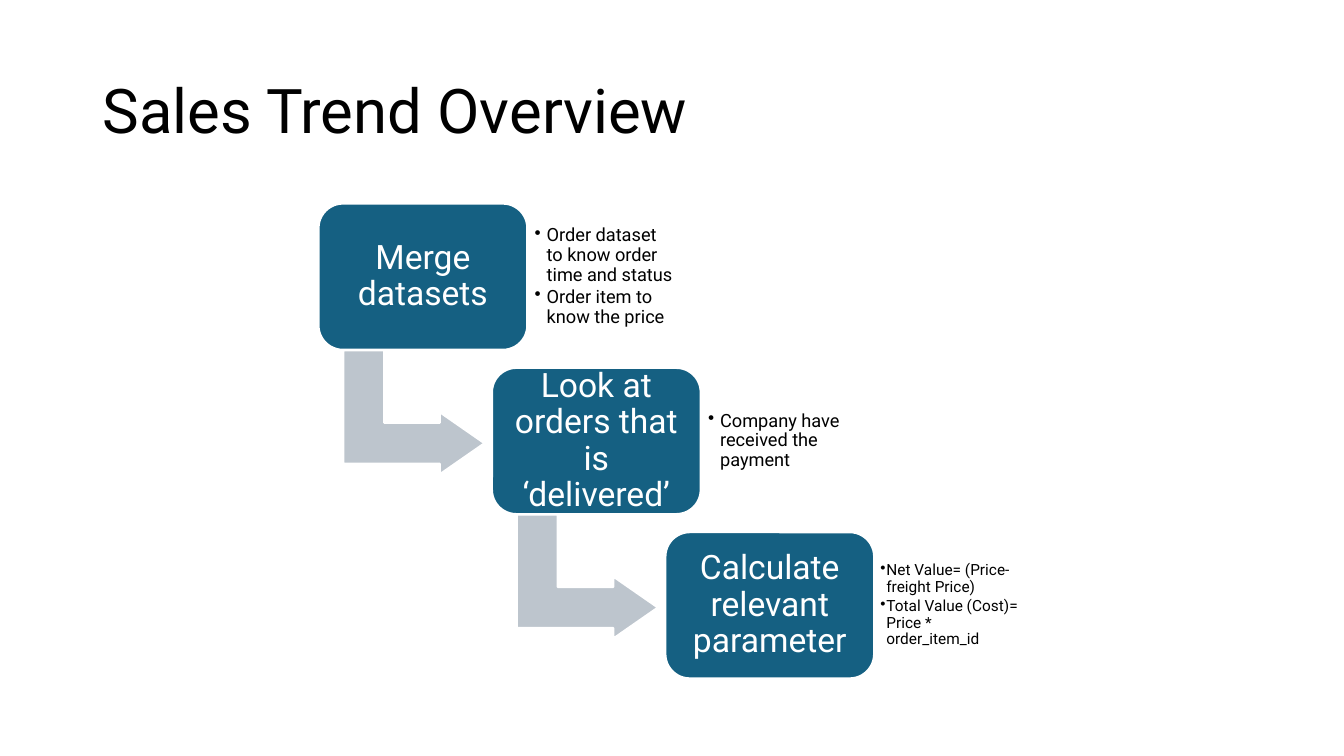
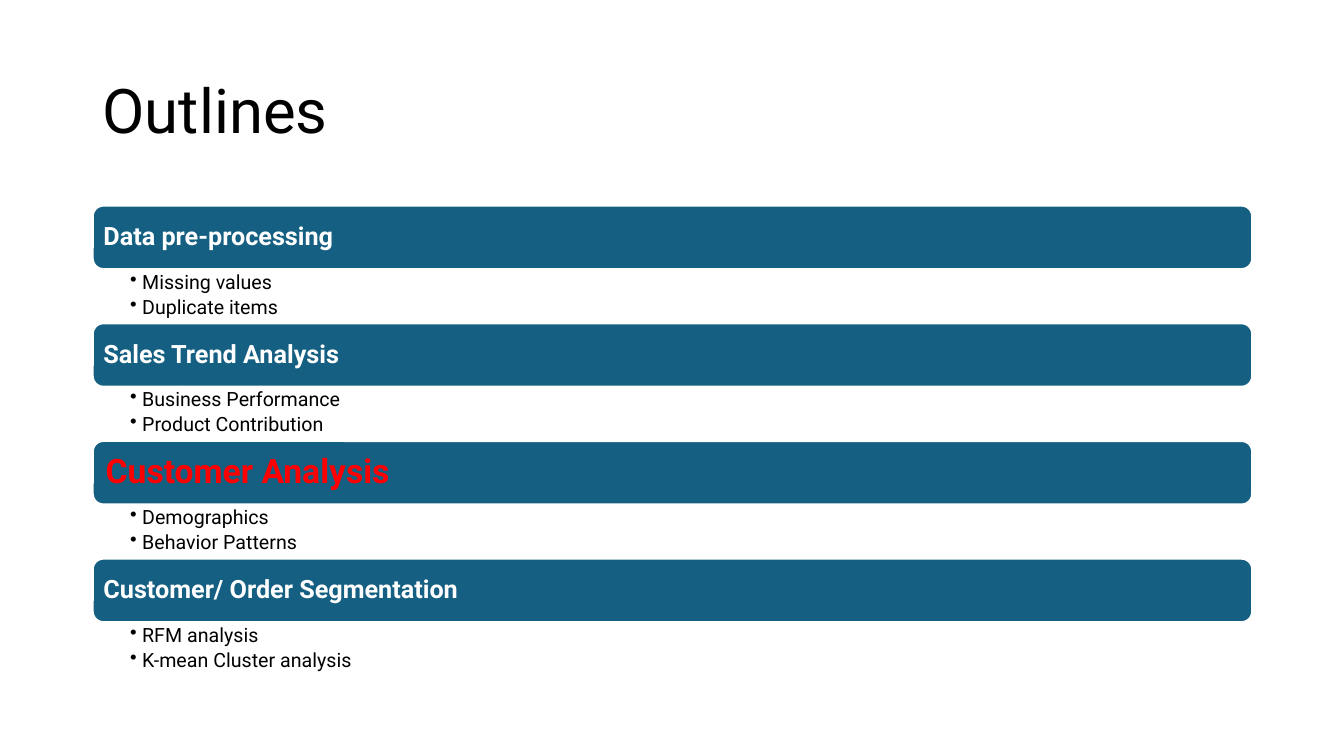
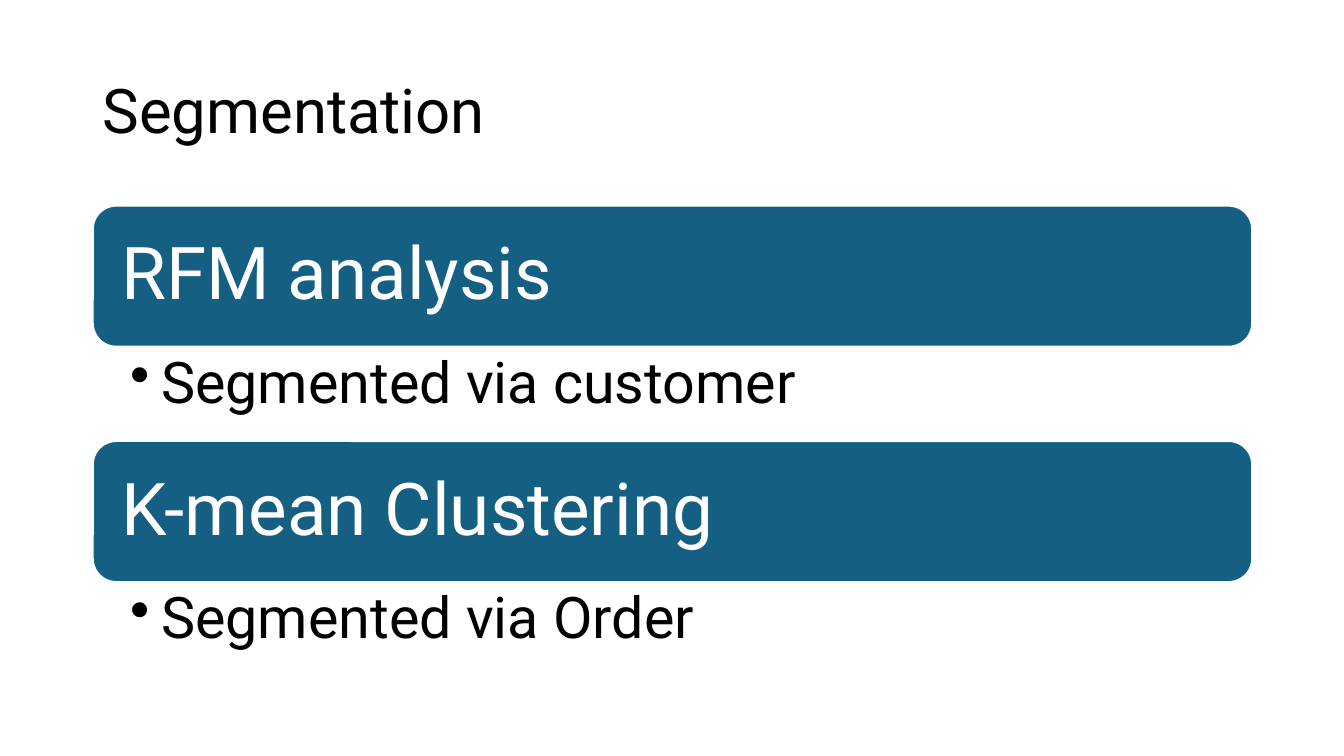
from dataclasses import dataclass
from typing import NamedTuple

from lxml.etree import SubElement
from pptx import Presentation
from pptx.dml.color import RGBColor
from pptx.enum.shapes import MSO_SHAPE
from pptx.enum.text import MSO_ANCHOR, PP_ALIGN
from pptx.oxml.ns import qn
from pptx.shapes.autoshape import Shape
from pptx.slide import Slide
from pptx.text.text import TextFrame
from pptx.util import Inches, Pt

BLACK = RGBColor(0x00, 0x00, 0x00)
WHITE = RGBColor(0xFF, 0xFF, 0xFF)
RED = RGBColor(0xFF, 0x00, 0x00)
TEAL = RGBColor(0x15, 0x60, 0x82)
ARROW_GREY = RGBColor(0xBD, 0xC5, 0xCD)
FONT = "Roboto"

CONTENT_LEFT, CONTENT_WIDTH = 0.92, 11.5
OUTLINE_TOP, OUTLINE_BOTTOM = 2.04, 6.71
STEP_LEFT, STEP_TOP = 3.16, 2.02
STEP_WIDTH, STEP_HEIGHT = 2.07, 1.45
STEP_RIGHT, STEP_DOWN = 1.72, 1.63


class Box(NamedTuple):
    left: float
    top: float
    width: float
    height: float


class Insets(NamedTuple):
    left: float
    top: float
    right: float
    bottom: float


@dataclass(frozen=True)
class TextStyle:
    size: float
    color: RGBColor = BLACK
    bold: bool = False
    align: PP_ALIGN = PP_ALIGN.LEFT
    bullet_indent: float = 0
    space_after: float = 0


@dataclass(frozen=True)
class Step:
    title: str
    details: list[str]
    detail_size: int = 13
    bullet_indent: float = 0.12


@dataclass(frozen=True)
class Section:
    title: str
    points: list[str]
    highlighted: bool = False


@dataclass(frozen=True)
class OutlineStyle:
    bar_height: float
    heading: TextStyle
    highlight: TextStyle
    point: TextStyle
    point_insets: Insets


STEPS = [
    Step("Merge datasets", ["Order dataset to know order time and status", "Order item to know the price"]),
    Step("Look at orders that is ‘delivered’", ["Company have received the payment"]),
    Step(
        "Calculate relevant parameter",
        ["Net Value= (Price-freight Price)", "Total Value (Cost)= Price * order_item_id"],
        detail_size=11,
        bullet_indent=0.06,
    ),
]

OUTLINE_SECTIONS = [
    Section("Data pre-processing", ["Missing values", "Duplicate items"]),
    Section("Sales Trend Analysis", ["Business Performance", "Product Contribution"]),
    Section("Customer Analysis", ["Demographics", "Behavior Patterns"], highlighted=True),
    Section("Customer/ Order Segmentation", ["RFM analysis", "K-mean Cluster analysis"]),
]

SEGMENTATION_SECTIONS = [
    Section("RFM analysis", ["Segmented via customer"]),
    Section("K-mean Clustering", ["Segmented via Order"]),
]

TITLE_STYLE = TextStyle(44)
STEP_STYLE = TextStyle(24, WHITE, align=PP_ALIGN.CENTER)
COMPACT_OUTLINE = OutlineStyle(
    0.63,
    TextStyle(18, WHITE, bold=True),
    TextStyle(24, RED, bold=True),
    TextStyle(14, bullet_indent=0.12, space_after=2.8),
    Insets(0.37, 0.03, 0.14, 0.03),
)
LARGE_OUTLINE = OutlineStyle(
    1.4,
    TextStyle(52, WHITE),
    TextStyle(52, RED),
    TextStyle(41, bullet_indent=0.31, space_after=8.2),
    Insets(0.37, 0.07, 0.4, 0.07),
)


def even_insets(size: float) -> Insets:
    return Insets(size, size, size, size)


def heading_insets(style: TextStyle) -> Insets:
    return even_insets(style.size / 240)


def write_text(
    text_frame: TextFrame,
    lines: list[str],
    style: TextStyle,
    insets: Insets,
    anchor: MSO_ANCHOR = MSO_ANCHOR.MIDDLE,
) -> None:
    text_frame.word_wrap = True
    text_frame.vertical_anchor = anchor
    text_frame.margin_left = Inches(insets.left)
    text_frame.margin_top = Inches(insets.top)
    text_frame.margin_right = Inches(insets.right)
    text_frame.margin_bottom = Inches(insets.bottom)
    text_frame.text = "\n".join(lines)
    for paragraph in text_frame.paragraphs:
        if style.bullet_indent:
            properties = paragraph._p.get_or_add_pPr()
            properties.set("marL", str(Inches(style.bullet_indent)))
            properties.set("indent", str(-Inches(style.bullet_indent)))
            SubElement(properties, qn("a:buChar")).set("char", "•")
        paragraph.alignment = style.align
        paragraph.line_spacing = 0.9
        paragraph.space_after = Pt(style.space_after)
        for run in paragraph.runs:
            run.font.name = FONT
            run.font.size = Pt(style.size)
            run.font.bold = style.bold
            run.font.color.rgb = style.color


def add_text(
    slide: Slide,
    box: Box,
    lines: list[str],
    style: TextStyle,
    insets: Insets,
    anchor: MSO_ANCHOR = MSO_ANCHOR.MIDDLE,
) -> None:
    text_box = slide.shapes.add_textbox(*map(Inches, box))
    write_text(text_box.text_frame, lines, style, insets, anchor)


def add_filled_shape(slide: Slide, kind: MSO_SHAPE, box: Box, color: RGBColor) -> Shape:
    shape = slide.shapes.add_shape(kind, *map(Inches, box))
    shape.shadow.inherit = False
    shape.fill.solid()
    shape.fill.fore_color.rgb = color
    shape.line.color.rgb = WHITE
    shape.line.width = Pt(1.5)
    return shape


def add_heading_box(slide: Slide, box: Box, title: str, style: TextStyle) -> None:
    shape = add_filled_shape(slide, MSO_SHAPE.ROUNDED_RECTANGLE, box, TEAL)
    write_text(shape.text_frame, [title], style, heading_insets(style))


def add_bent_arrow(slide: Slide, box: Box) -> None:
    arrow = add_filled_shape(slide, MSO_SHAPE.BENT_UP_ARROW, box, ARROW_GREY)
    arrow.rotation = 90
    for index, value in enumerate((0.33, 0.25, 0.36)):
        arrow.adjustments[index] = value


def add_titled_slide(presentation: Presentation, title: str) -> Slide:
    slide = presentation.slides.add_slide(presentation.slide_layouts[6])
    box = Box(CONTENT_LEFT, 0.4, CONTENT_WIDTH, 1.45)
    add_text(slide, box, [title], TITLE_STYLE, Insets(0.1, 0.05, 0.1, 0.05))
    return slide


def draw_steps(slide: Slide, steps: list[Step]) -> None:
    for index, step in enumerate(steps):
        left = STEP_LEFT + index * STEP_RIGHT
        top = STEP_TOP + index * STEP_DOWN
        if index < len(steps) - 1:
            add_bent_arrow(slide, Box(left + 0.33, top + 1.37, 1.23, 1.4))
        add_heading_box(slide, Box(left, top, STEP_WIDTH, STEP_HEIGHT), step.title, STEP_STYLE)
        detail_style = TextStyle(
            step.detail_size,
            bullet_indent=step.bullet_indent,
            space_after=0.15 * step.detail_size,
        )
        detail_box = Box(left + STEP_WIDTH, top + 0.14, 1.51, 1.17)
        add_text(slide, detail_box, step.details, detail_style, even_insets(step.detail_size / 180))


def draw_outline(slide: Slide, sections: list[Section], style: OutlineStyle) -> None:
    pitch = (OUTLINE_BOTTOM - OUTLINE_TOP) / len(sections)
    for index, section in enumerate(sections):
        top = OUTLINE_TOP + index * pitch
        bar = Box(CONTENT_LEFT, top, CONTENT_WIDTH, style.bar_height)
        heading = style.highlight if section.highlighted else style.heading
        add_heading_box(slide, bar, section.title, heading)
        points = Box(CONTENT_LEFT, top + style.bar_height, CONTENT_WIDTH, pitch - style.bar_height)
        add_text(slide, points, section.points, style.point, style.point_insets, MSO_ANCHOR.TOP)


def main() -> None:
    presentation = Presentation()
    presentation.slide_width = Inches(13.33)
    presentation.slide_height = Inches(7.5)
    draw_steps(add_titled_slide(presentation, "Sales Trend Overview"), STEPS)
    draw_outline(add_titled_slide(presentation, "Outlines"), OUTLINE_SECTIONS, COMPACT_OUTLINE)
    draw_outline(add_titled_slide(presentation, "Segmentation"), SEGMENTATION_SECTIONS, LARGE_OUTLINE)
    presentation.save("out.pptx")


if __name__ == "__main__":
    main()
